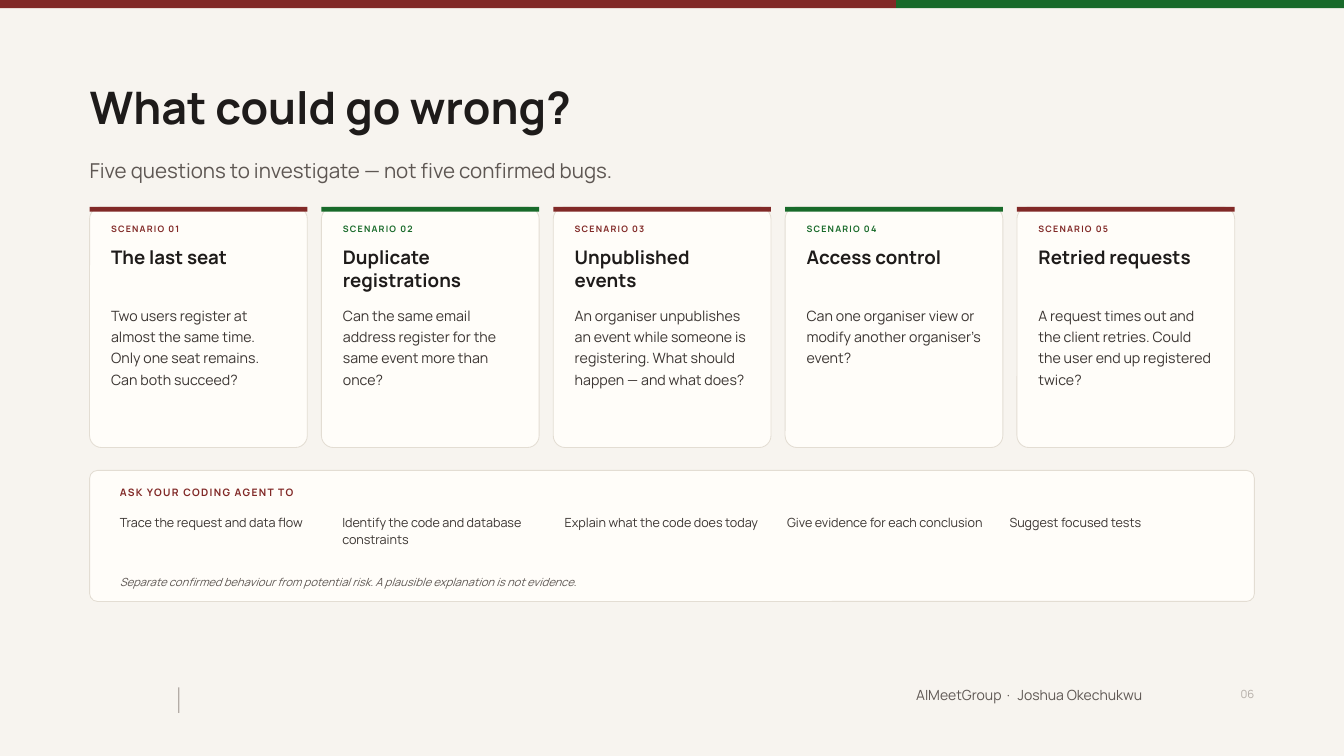
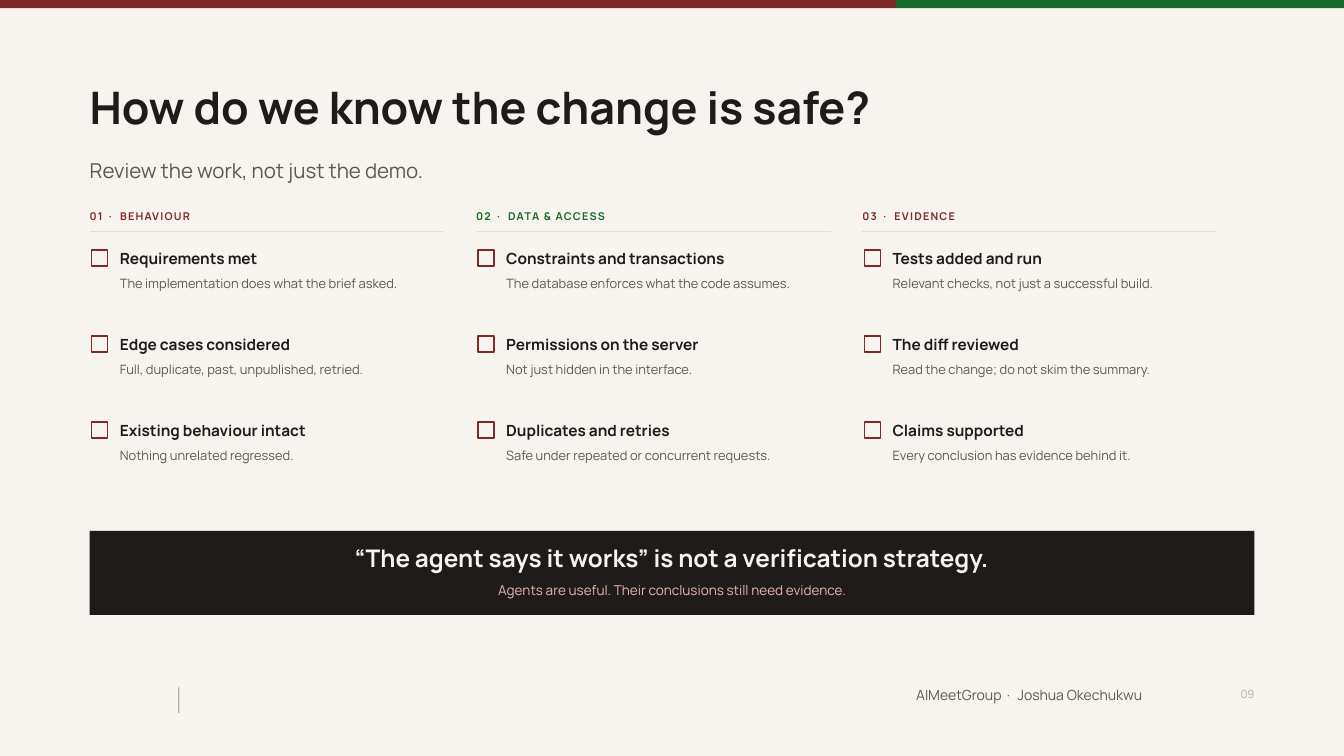
from dataclasses import dataclass, replace

from lxml import etree
from pptx import Presentation
from pptx.dml.color import RGBColor
from pptx.enum.shapes import MSO_CONNECTOR, MSO_SHAPE
from pptx.enum.text import MSO_ANCHOR, MSO_AUTO_SIZE, PP_ALIGN
from pptx.oxml.ns import qn
from pptx.util import Inches, Pt

RECT, ROUNDED = MSO_SHAPE.RECTANGLE, MSO_SHAPE.ROUNDED_RECTANGLE
STRAIGHT = MSO_CONNECTOR.STRAIGHT
LEFT, CENTER, RIGHT = PP_ALIGN.LEFT, PP_ALIGN.CENTER, PP_ALIGN.RIGHT
TOP, NO_FIT = MSO_ANCHOR.TOP, MSO_AUTO_SIZE.NONE
TITLE_ONLY = 5

W, H = 20, 11.25
MARGIN = W / 15
CONTENT = W - 2 * MARGIN
INDENT = 0.45
BODY_TOP = 3.08
DOT = " · "


@dataclass(frozen=True)
class Style:
    size: float
    leading: float
    color: str
    bold: bool = False
    italic: bool = False
    spacing: float = 0
    align: PP_ALIGN = LEFT


@dataclass(frozen=True)
class Theme:
    font = "Manrope"
    paper, card, rule = "F7F4EF", "FFFDF9", "E3DDD3"
    ink, body, muted, faint = "1E1B1A", "3B3532", "5E5753", "B3ACA6"
    red, green, pink = "812927", "186A2A", "E8B7B2"

    title = Style(48, 52.8, ink, bold=True)
    subtitle = Style(22, 31.2, muted)
    footer = Style(15, 21.3, muted, align=RIGHT)
    page = Style(12, 17, faint, align=RIGHT)
    scenario = Style(9.5, 13.5, red, bold=True, spacing=1.3)
    card_title = Style(20, 25, ink, bold=True)
    card_body = Style(15.2, 23, body)
    panel_label = Style(11, 15.6, red, bold=True, spacing=1.4)
    prompt = Style(13.5, 19, body)
    note = Style(12, 17, muted, italic=True)
    column = Style(11.5, 16.3, red, bold=True, spacing=1.3)
    check = Style(16.5, 23.4, ink, bold=True)
    detail = Style(13.8, 20, muted)
    quote = Style(26, 36.9, paper, bold=True, align=CENTER)
    quote_note = Style(14.5, 20.6, pink, align=CENTER)

    def accent(self, i):
        return (self.red, self.green)[i % 2]


T = Theme()

SCENARIOS = [
    ("The last seat", "Two users register at almost the same time. "
     "Only one seat remains. Can both succeed?"),
    ("Duplicate registrations", "Can the same email address register for the "
     "same event more than once?"),
    ("Unpublished events", "An organiser unpublishes an event while someone is "
     "registering. What should happen — and what does?"),
    ("Access control", "Can one organiser view or modify another organiser’s event?"),
    ("Retried requests", "A request times out and the client retries. "
     "Could the user end up registered twice?"),
]
PROMPTS = [
    "Trace the request and data flow",
    "Identify the code and database constraints",
    "Explain what the code does today",
    "Give evidence for each conclusion",
    "Suggest focused tests",
]
CHECKLIST = [
    ("BEHAVIOUR", [
        ("Requirements met", "The implementation does what the brief asked."),
        ("Edge cases considered", "Full, duplicate, past, unpublished, retried."),
        ("Existing behaviour intact", "Nothing unrelated regressed."),
    ]),
    ("DATA & ACCESS", [
        ("Constraints and transactions", "The database enforces what the code assumes."),
        ("Permissions on the server", "Not just hidden in the interface."),
        ("Duplicates and retries", "Safe under repeated or concurrent requests."),
    ]),
    ("EVIDENCE", [
        ("Tests added and run", "Relevant checks, not just a successful build."),
        ("The diff reviewed", "Read the change; do not skim the summary."),
        ("Claims supported", "Every conclusion has evidence behind it."),
    ]),
]


def rgb(color):
    return RGBColor.from_string(color)


def spread(items, start, size, gap):
    """Yield index, position and item for equal cells along one axis."""
    for i, item in enumerate(items):
        yield i, start + i * (size + gap), item


def add_run(p, text, style, spacing):
    r = p.add_run()
    r.text = text
    f = r.font
    f.name, f.size = T.font, Pt(style.size)
    f.bold, f.italic = style.bold, style.italic
    f.color.rgb = rgb(style.color)
    if spacing:
        r._r.get_or_add_rPr().set("spc", str(round(spacing * 100)))


def write(sp, text, style):
    """Fill a frame with one paragraph, giving each dot separator wider gaps."""
    tf = sp.text_frame
    tf.margin_left = tf.margin_right = tf.margin_top = tf.margin_bottom = 0
    tf.word_wrap, tf.auto_size, tf.vertical_anchor = True, NO_FIT, TOP
    p = tf.paragraphs[0]
    p.alignment, p.line_spacing = style.align, Pt(style.leading)
    for i, part in enumerate(text.split(DOT)):
        if i:
            add_run(p, DOT, style, style.spacing + style.size * 0.17)
        add_run(p, part, style, style.spacing)


def add_text(s, box, text, style):
    write(s.shapes.add_textbox(*map(Inches, box)), text, style)


def add_box(s, box, fill=None, line=None, weight=0.9, kind=RECT, radius=None):
    sp = s.shapes.add_shape(kind, *map(Inches, box))
    sp.shadow.inherit = False
    if radius is not None:
        sp.adjustments[0] = radius
    if fill:
        sp.fill.solid()
        sp.fill.fore_color.rgb = rgb(fill)
    else:
        sp.fill.background()
    if line:
        sp.line.color.rgb = rgb(line)
        sp.line.width = Pt(weight)
    else:
        sp.line.fill.background()


def add_rule(s, x, y, width):
    cx = s.shapes.add_connector(STRAIGHT, *map(Inches, (x, y, x + width, y)))
    cx.line.color.rgb = rgb(T.rule)
    cx.line.width = Pt(1)
    etree.SubElement(cx._element.spPr, qn("a:effectLst"))


def add_slide(prs, title, subtitle, page):
    """Start a slide with the top bands, heading and footer that all share."""
    s = prs.slides.add_slide(prs.slide_layouts[TITLE_ONLY])
    split = W * 2 / 3
    add_box(s, (0, 0, split, 0.12), T.red)
    add_box(s, (split, 0, W - split, 0.12), T.green)
    sp = s.shapes.title
    sp.left, sp.top, sp.width, sp.height = map(Inches, (MARGIN, H / 9, CONTENT, 0.95))
    write(sp, title, T.title)
    add_text(s, (MARGIN, 2.28, CONTENT, 0.6), subtitle, T.subtitle)
    add_box(s, (2.65, 10.23, 0.02, 0.38), T.faint)
    add_text(s, (11.4, 10.17, 5.6, 0.38), "AIMeetGroup · Joshua Okechukwu", T.footer)
    add_text(s, (W - MARGIN - 0.62, 10.19, 0.62, 0.34), page, T.page)
    return s


def add_card(s, x, width, number, title, body):
    accent = T.accent(number - 1)
    add_box(s, (x, BODY_TOP, width, 3.58), T.card, T.rule, kind=ROUNDED, radius=0.055)
    add_box(s, (x, BODY_TOP, width, 0.07), accent)
    inner, inner_width = x + 0.32, width - 0.64
    add_text(s, (inner, 3.3, inner_width, 0.25), f"SCENARIO {number:02}",
             replace(T.scenario, color=accent))
    add_text(s, (inner, 3.64, inner_width, 0.8), title, T.card_title)
    add_text(s, (inner, 4.5, inner_width, 1.85), body, T.card_body)


def add_prompt_panel(s, top):
    x = MARGIN + INDENT
    add_box(s, (MARGIN, top, CONTENT, 1.95), T.card, T.rule, kind=ROUNDED, radius=0.06)
    add_text(s, (x, top + 0.2, 8, 0.3), "ASK YOUR CODING AGENT TO", T.panel_label)
    width = 3.05
    for _, left, prompt in spread(PROMPTS, x, width, 0.26):
        add_text(s, (left, top + 0.62, width, 0.7), prompt, T.prompt)
    add_text(s, (x, top + 1.52, 16.2, 0.3),
             "Separate confirmed behaviour from potential risk. "
             "A plausible explanation is not evidence.", T.note)


def add_check(s, x, y, width, title, detail):
    add_box(s, (x + 0.03, y + 0.06, 0.24, 0.24), line=T.red, weight=1.4)
    add_text(s, (x + INDENT, y, width - INDENT, 0.35), title, T.check)
    add_text(s, (x + INDENT, y + 0.39, width - INDENT, 0.55), detail, T.detail)


def add_check_column(s, x, width, number, heading, checks):
    add_text(s, (x, BODY_TOP, width, 0.3), f"{number:02}{DOT}{heading}",
             replace(T.column, color=T.accent(number - 1)))
    add_rule(s, x, 3.45, width)
    for _, y, (title, detail) in spread(checks, 3.66, 0.94, 0.34):
        add_check(s, x, y, width, title, detail)


def add_quote_band(s, top, quote, note):
    add_box(s, (MARGIN, top, CONTENT, 1.25), T.ink)
    x, width = MARGIN + 0.5, CONTENT - 1
    add_text(s, (x, top + 0.1, width, 0.55), quote, T.quote)
    add_text(s, (x, top + 0.72, width, 0.3), note, T.quote_note)


def build_scenarios(prs):
    s = add_slide(prs, "What could go wrong?",
                  "Five questions to investigate — not five confirmed bugs.", "06")
    width = 3.24
    for i, x, (title, body) in spread(SCENARIOS, MARGIN, width, 0.21):
        add_card(s, x, width, i + 1, title, body)
    add_prompt_panel(s, 7)


def build_checklist(prs):
    s = add_slide(prs, "How do we know the change is safe?",
                  "Review the work, not just the demo.", "09")
    width = 5.28
    for i, x, (heading, checks) in spread(CHECKLIST, MARGIN, width, 0.47):
        add_check_column(s, x, width, i + 1, heading, checks)
    add_quote_band(s, 7.9, "“The agent says it works” is not a verification strategy.",
                   "Agents are useful. Their conclusions still need evidence.")


def main():
    prs = Presentation()
    prs.slide_width, prs.slide_height = Inches(W), Inches(H)
    fill = prs.slide_master.background.fill
    fill.solid()
    fill.fore_color.rgb = rgb(T.paper)
    build_scenarios(prs)
    build_checklist(prs)
    prs.save("out.pptx")


if __name__ == "__main__":
    main()
